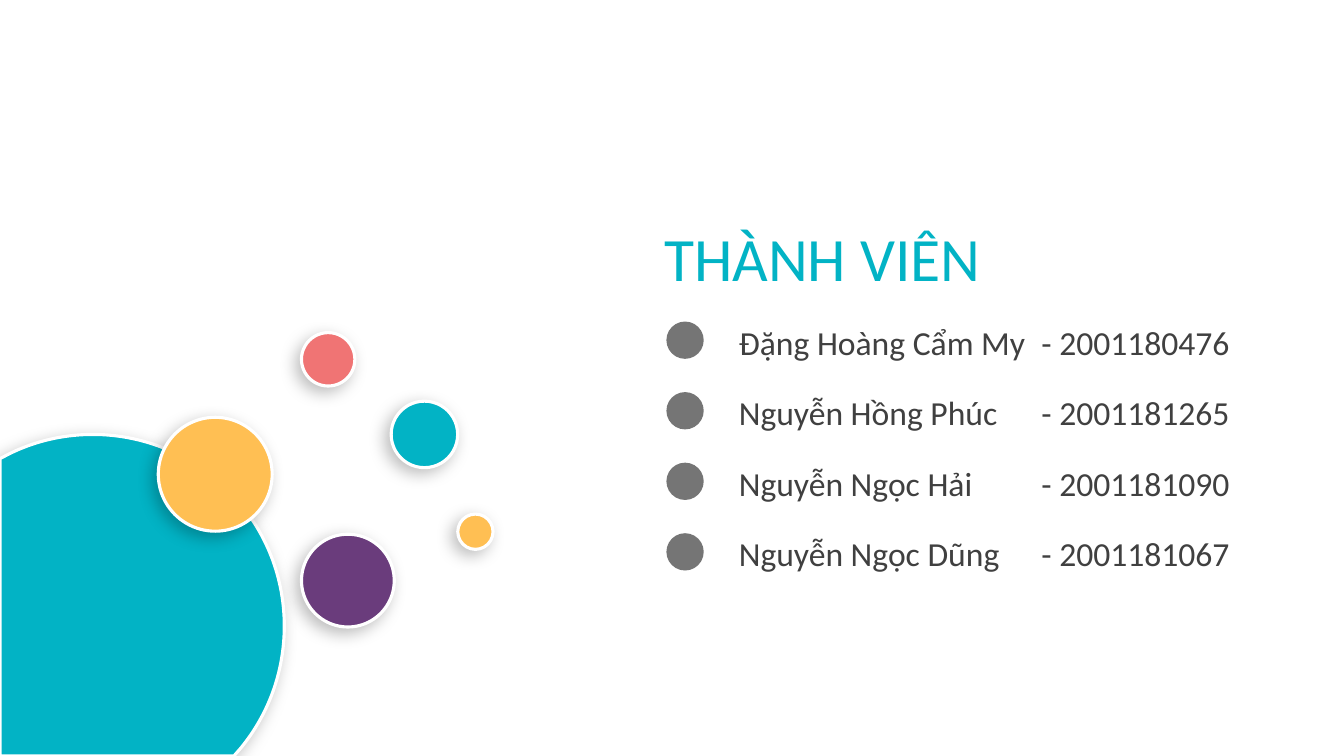
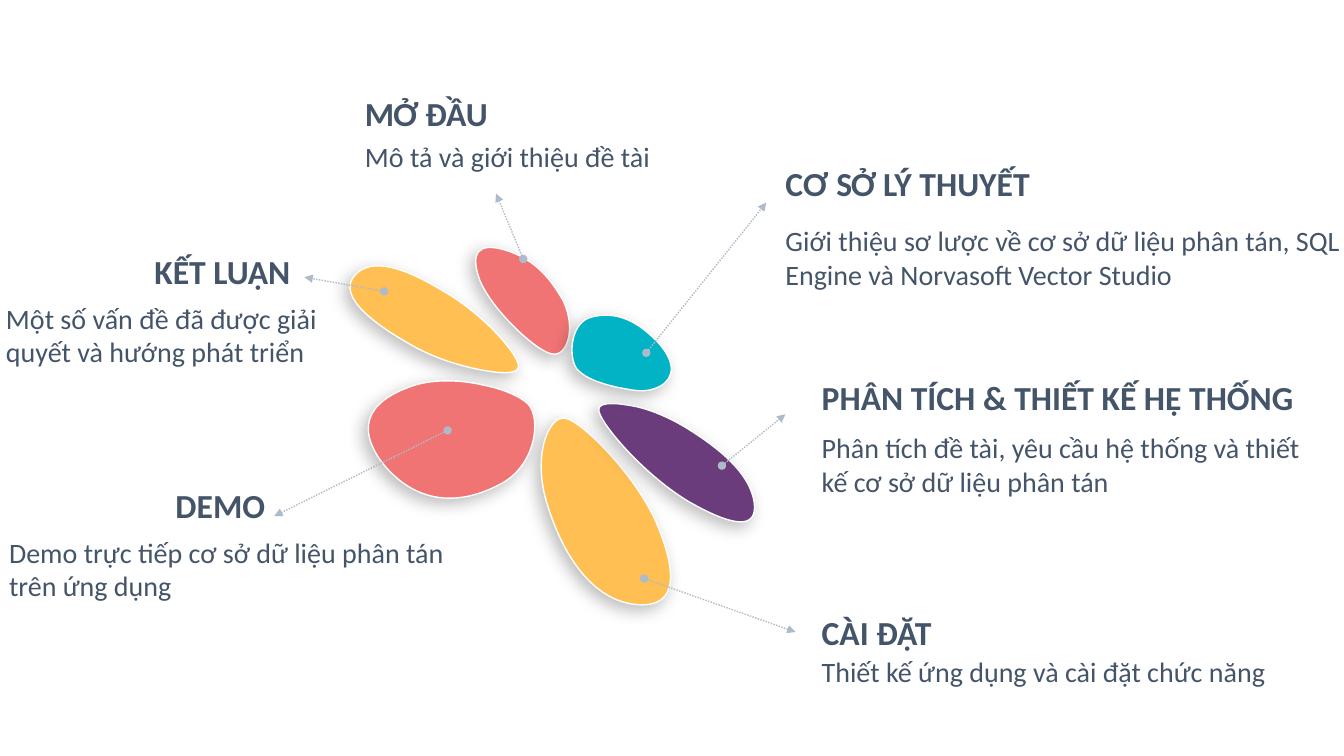
from itertools import islice
from lxml.etree import SubElement as sub
from pptx import Presentation
from pptx.dml.color import RGBColor as Rgb
from pptx.enum.dml import MSO_LINE_DASH_STYLE as Dash
from pptx.enum.shapes import MSO_CONNECTOR as Link, MSO_SHAPE as Kind
from pptx.enum.text import MSO_AUTO_SIZE as Auto, PP_ALIGN as Align
from pptx.oxml.ns import qn
from pptx.util import Inches, Pt

INK = {
    "teal": "02B3C5", "plum": "6A3C7C", "gold": "FFBF53", "coral": "F07474",
    "white": "FFFFFF", "dark": "404040", "slate": "445469", "mist": "ADBACA",
}
FONT = "Calibri"

# Paths: the start point, then line ends (x, y) or cubic curves of six numbers.
BLOB = [(2.32, 7.5), (0, 7.5), (0, 4.55), (0.02, 4.54),
        (0.29, 4.39, 0.6, 4.31, 0.92, 4.31), (1.97, 4.31, 2.82, 5.16, 2.82, 6.21),
        (2.82, 6.67, 2.66, 7.09, 2.39, 7.42)]
BALLS = [  # colour, left, top, size
    ("plum", 2.99, 5.3, 0.92), ("teal", 3.88, 3.98, 0.66), ("gold", 1.57, 4.14, 1.13),
    ("coral", 2.99, 3.3, 0.53), ("gold", 4.54, 5.1, 0.35),
]
TEAM = [
    ("Đặng Hoàng Cẩm My", "2001180476"), ("Nguyễn Hồng Phúc", "2001181265"),
    ("Nguyễn Ngọc Hải", "2001181090"), ("Nguyễn Ngọc Dũng", "2001181067"),
]
PETALS = [
    ("gold", [(5.61, 4.15), (5.45, 4.11, 5.27, 4.51, 5.43, 5.01),
              (5.61, 5.59, 5.93, 5.98, 6.34, 6), (6.72, 6.02, 6.73, 5.68, 6.49, 5.14),
              (6.27, 4.68, 5.77, 4.18, 5.61, 4.15)]),
    ("plum", [(5.94, 4.06), (5.92, 4.16, 6.36, 4.69, 6.82, 4.97),
              (7.27, 5.23, 7.52, 5.26, 7.48, 4.98), (7.44, 4.72, 7.19, 4.48, 6.8, 4.24),
              (6.6, 4.12, 6.39, 4.04, 6.23, 4.02), (6.06, 3.99, 5.94, 4, 5.94, 4.06)]),
    ("coral", [(5.47, 3.51), (5.62, 3.55, 5.72, 3.27, 5.59, 2.99),
               (5.44, 2.72, 5.27, 2.56, 5.01, 2.48), (4.74, 2.4, 4.66, 2.51, 4.76, 2.78),
               (4.87, 3.06, 5.31, 3.48, 5.47, 3.51)]),
    ("gold", [(5.14, 3.65), (5.18, 3.56, 4.82, 3.13, 4.4, 2.89),
              (3.99, 2.64, 3.69, 2.56, 3.53, 2.72), (3.36, 2.89, 3.57, 3.13, 4.04, 3.4),
              (4.29, 3.55, 4.56, 3.63, 4.77, 3.67), (4.98, 3.71, 5.12, 3.71, 5.14, 3.65)]),
    ("teal", [(5.73, 3.67), (5.82, 3.76, 5.95, 3.8, 6.11, 3.84),
              (6.28, 3.87, 6.4, 3.91, 6.55, 3.83), (6.69, 3.75, 6.72, 3.58, 6.48, 3.35),
              (6.26, 3.14, 6.06, 3.09, 5.85, 3.15), (5.64, 3.22, 5.64, 3.58, 5.73, 3.67)]),
    ("coral", [(5.24, 4.01), (5.17, 3.94, 5, 3.86, 4.79, 3.82),
               (4.58, 3.77, 4.32, 3.76, 4.12, 3.82), (3.68, 3.96, 3.51, 4.21, 3.79, 4.59),
               (4.11, 4.99, 4.53, 5.03, 4.95, 4.81), (5.32, 4.63, 5.37, 4.15, 5.24, 4.01)]),
]
# Topics: arrow ends, head box, head, body box, body, head alignment
TOPICS = [
    ((5.19, 2.57, 4.92, 1.92), (3.62, 0.92, 1.4, 0.4), "MỞ ĐẦU",
     (3.62, 1.38, 2.95, 0.34), "Mô tả và giới thiệu đề tài", Align.LEFT),
    ((6.41, 3.5, 7.6, 2.01), (7.79, 1.62, 2.98, 0.4), "CƠ SỞ LÝ THUYẾT",
     (7.79, 2.22, 5.54, 0.67),
     "Giới thiệu sơ lược về cơ sở dữ liệu phân tán, SQL Engine và Norvasoft Vector Studio",
     Align.LEFT),
    ((7.16, 4.62, 7.79, 4.11), (8.15, 3.74, 4.88, 0.4), "PHÂN TÍCH & THIẾT KẾ HỆ THỐNG",
     (8.15, 4.27, 5.02, 0.67),
     "Phân tích đề tài, yêu cầu hệ thống và thiết kế cơ sở dữ liệu phân tán", Align.LEFT),
    ((6.39, 5.74, 7.89, 6.27), (8.15, 6.07, 1.4, 0.4), "CÀI ĐẶT",
     (8.15, 6.49, 4.77, 0.34), "Thiết kế ứng dụng và cài đặt chức năng", Align.LEFT),
    ((4.44, 4.27, 2.72, 5.12), (0.77, 4.81, 1.86, 0.4), "DEMO",
     (0.09, 5.31, 4.46, 0.67), "Demo trực tiếp cơ sở dữ liệu phân tán trên ứng dụng",
     Align.RIGHT),
    ((3.81, 2.89, 3.02, 2.75), (0.74, 2.49, 2.14, 0.4), "KẾT LUẬN",
     (0.06, 2.99, 3.3, 0.67), "Một số vấn đề đã được giải quyết và hướng phát triển",
     Align.RIGHT),
]


def tint(name):
    """Return the named colour."""
    return Rgb.from_string(INK[name])


def paint(shape, name):
    """Give a shape a flat fill and no shadow."""
    shape.fill.solid()
    shape.fill.fore_color.rgb = tint(name)
    shape.shadow.inherit = False


def lift(shape, name, width):
    """Fill a shape, outline it in white and set a soft shadow."""
    paint(shape, name)
    shape.line.color.rgb = tint("white")
    shape.line.width = Pt(width)
    effect = shape._element.spPr.find(qn("a:effectLst"))
    shade = sub(effect, qn("a:outerShdw"), blurRad=str(Pt(12)), dist=str(Pt(5)),
                dir=str(135 * 60000), algn="tr", rotWithShape="0")
    color = sub(shade, qn("a:srgbClr"), val="000000")
    sub(color, qn("a:alpha"), val="26000")


def bend(shape, outline):
    """Join each three segments that stand for a curve into one cubic."""
    track = shape._element.find(".//" + qn("a:path"))
    lines = iter(track.findall(qn("a:lnTo")))
    for part in outline[1:]:
        group = list(islice(lines, len(part) // 2))
        if len(group) == 3:
            cubic = sub(track, qn("a:cubicBezTo"))
            group[0].addprevious(cubic)
            for line in group:
                cubic.append(line[0])
                track.remove(line)


def add_blob(slide, outline, name, width):
    """Draw a closed outline of lines and curves."""
    first, *rest = [(Inches(x), Inches(y)) for part in outline
                    for x, y in zip(part[::2], part[1::2])]
    form = slide.shapes.build_freeform(*first, scale=1.0)
    form.add_line_segments(rest, close=True)
    shape = form.convert_to_shape()
    bend(shape, outline)
    lift(shape, name, width)


def add_ball(slide, left, top, size):
    """Add a plain circle."""
    return slide.shapes.add_shape(Kind.OVAL, Inches(left), Inches(top),
                                  Inches(size), Inches(size))


def add_dot(slide, left, top):
    """Add a translucent list marker."""
    dot = add_ball(slide, left, top, 0.37)
    paint(dot, "dark")
    dot.line.fill.background()
    color = dot._element.spPr.find(qn("a:solidFill"))[0]
    sub(color, qn("a:alpha"), val="72000")


def add_text(slide, box, text, size, name, bold=False, align=Align.LEFT, flush=False):
    """Add a one-run text box, flush with its edges if asked."""
    frame = slide.shapes.add_textbox(*map(Inches, box)).text_frame
    frame.word_wrap = True
    frame.auto_size = Auto.SHAPE_TO_FIT_TEXT
    if flush:
        frame.margin_left = frame.margin_right = 0
        frame.margin_top = frame.margin_bottom = 0
    para = frame.paragraphs[0]
    para.alignment = align
    run = para.add_run()
    run.text = text
    font = run.font
    font.name, font.size, font.bold = FONT, Pt(size), bold
    font.color.rgb = tint(name)
    return para


def set_tab(para, stop):
    """Set one left tab stop."""
    tabs = sub(para._p.get_or_add_pPr(), qn("a:tabLst"))
    sub(tabs, qn("a:tab"), pos=str(Inches(stop)), algn="l")


def add_arrow(slide, ends):
    """Draw a dotted arrow that starts with a dot."""
    arrow = slide.shapes.add_connector(Link.STRAIGHT, *map(Inches, ends))
    arrow.line.color.rgb = tint("mist")
    arrow.line.width = Pt(1)
    arrow.line.dash_style = Dash.ROUND_DOT
    line = arrow.line._get_or_add_ln()
    sub(line, qn("a:headEnd"), type="oval")
    sub(line, qn("a:tailEnd"), type="triangle")
    sub(arrow._element.spPr, qn("a:effectLst"))


def add_team(slide):
    """Build the slide of team members."""
    add_blob(slide, BLOB, "teal", 2.25)
    for name, left, top, size in BALLS:
        lift(add_ball(slide, left, top, size), name, 2.25)
    add_text(slide, (6.49, 2.13, 3.77, 0.84), "THÀNH VIÊN", 44, "teal")
    for row, (person, code) in enumerate(TEAM):
        top = 3.14 + 0.7 * row
        para = add_text(slide, (7.23, top, 5.45, 0.5), f"{person}\t- {code}", 24, "dark")
        set_tab(para, 3)
        add_dot(slide, 6.61, top + 0.05)


def add_topics(slide):
    """Build the flower of topics."""
    for name, outline in PETALS:
        add_blob(slide, outline, name, 1)
    for ends, top, head, low, body, align in TOPICS:
        add_arrow(slide, ends)
        add_text(slide, top, head, 24, "slate", bold=True, align=align, flush=True)
        add_text(slide, low, body, 20, "slate", flush=True)


def main():
    """Build and save the deck."""
    deck = Presentation()
    deck.slide_width, deck.slide_height = Inches(13.33), Inches(7.5)
    for build in (add_team, add_topics):
        build(deck.slides.add_slide(deck.slide_layouts[6]))
    deck.save("out.pptx")


main()
